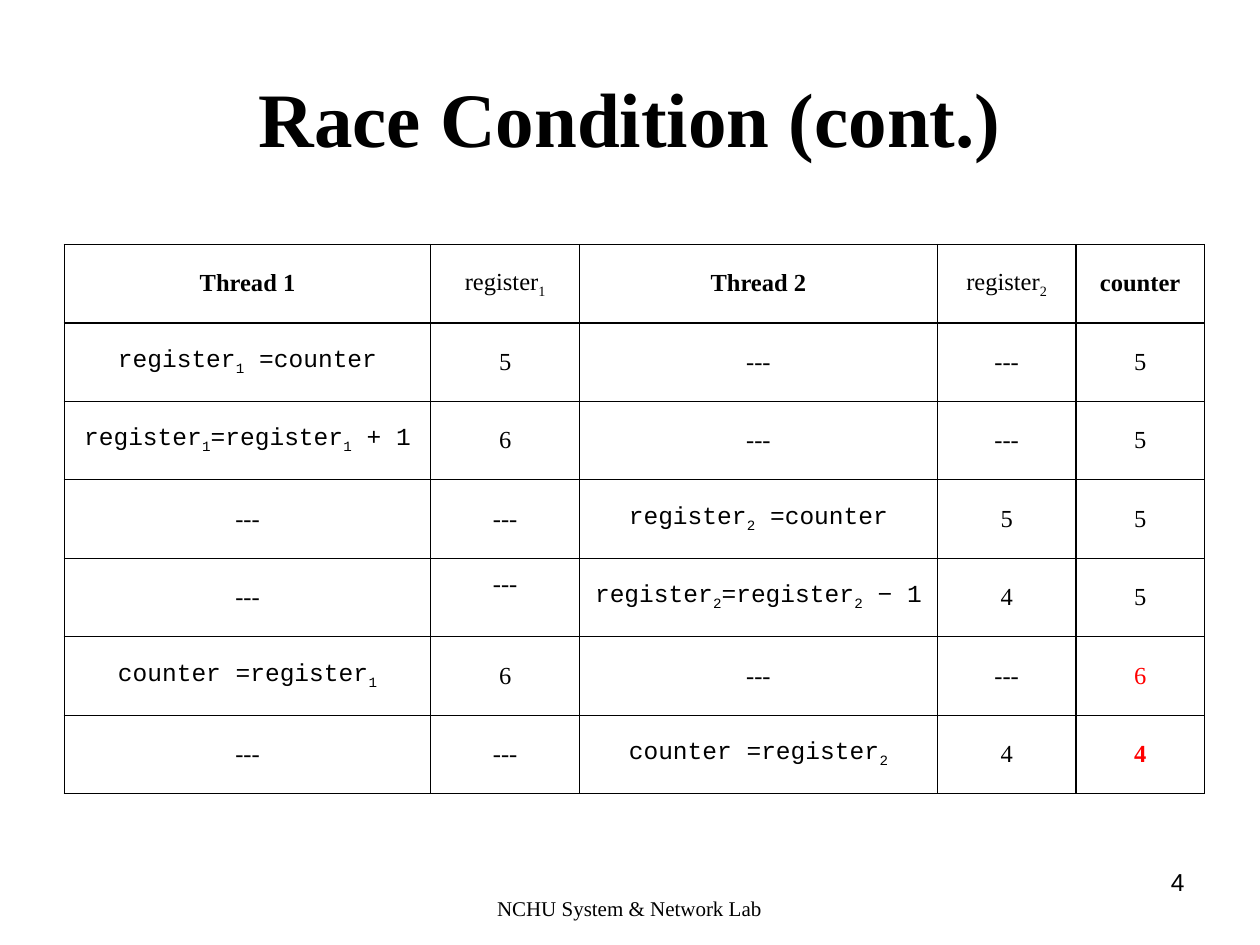
import pptx
import pptx.dml.color
import pptx.enum.text
import pptx.oxml
import pptx.oxml.ns
import pptx.util
from pptx.util import Inches

COLORS = {"text": "000000", "alert": "FF0000", "border": "000000"}
SERIF, CODE, SANS = "Times New Roman", "Courier New", "Arial"
ALIGN = pptx.enum.text.PP_ALIGN
ANCHOR = pptx.enum.text.MSO_ANCHOR

TITLE = "Race Condition (cont.)"
FOOTER = "NCHU System & Network Lab"
PAGE_NUMBER = "4"

# An underscore makes the next character a subscript.
HEADER = ["Thread 1", "register_1", "Thread 2", "register_2", "counter"]
STEPS = [
    ["register_1 =counter", "5", "---", "---", "5"],
    ["register_1=register_1 + 1", "6", "---", "---", "5"],
    ["---", "---", "register_2 =counter", "5", "5"],
    ["---", "---", "register_2=register_2 − 1", "4", "5"],
    ["counter =register_1", "6", "---", "---", "6"],
    ["---", "---", "counter =register_2", "4", "4"],
]
COLUMN_WIDTHS = [2.91, 1.18, 2.84, 1.1, 1.02]
TABLE_LEFT, TABLE_TOP, TABLE_HEIGHT = 0.51, 1.94, 4.36
# Formats of single cells, by (row, column)
SPECIAL = {
    (5, 4): {"color": "alert"},
    (6, 4): {"color": "alert", "bold": True},
}
RAISED_CELL = (4, 1)


def write(frame, text, size=14, font=SERIF, color="text", bold=False,
          align=ALIGN.CENTER):
    para = frame.paragraphs[0]
    para.alignment = align
    first, *rest = text.split("_")
    pieces = [(first, False)]
    for part in rest:
        pieces += [(part[0], True), (part[1:], False)]
    for piece, subscript in pieces:
        if not piece:
            continue
        span = para.add_run()
        span.text = piece
        span.font.size = pptx.util.Pt(size)
        span.font.name = font
        span.font.bold = bold
        span.font.color.rgb = pptx.dml.color.RGBColor.from_string(COLORS[color])
        if subscript:
            span.font._element.set("baseline", "-25000")


def add_text(page, place, text, anchor=ANCHOR.TOP, **style):
    box = page.shapes.add_textbox(*map(Inches, place))
    box.text_frame.word_wrap = True
    box.text_frame.vertical_anchor = anchor
    write(box.text_frame, text, **style)


def add_borders(cell):
    properties = cell._tc.get_or_add_tcPr()
    for index, side in enumerate(("lnL", "lnR", "lnT", "lnB")):
        line = pptx.oxml.parse_xml(
            f'<a:{side} {pptx.oxml.ns.nsdecls("a")} w="{pptx.util.Pt(0.75)}">'
            f'<a:solidFill><a:srgbClr val="{COLORS["border"]}"/></a:solidFill>'
            f'</a:{side}>')
        properties.insert(index, line)


def add_step_table(page):
    rows = [HEADER] + STEPS
    table = page.shapes.add_table(
        len(rows), len(HEADER), Inches(TABLE_LEFT), Inches(TABLE_TOP),
        Inches(sum(COLUMN_WIDTHS)), Inches(TABLE_HEIGHT)).table
    table.first_row = table.horz_banding = False
    for column, width in zip(table.columns, COLUMN_WIDTHS):
        column.width = Inches(width)
    for r, texts in enumerate(rows):
        table.rows[r].height = Inches(TABLE_HEIGHT / len(rows))
        for c, text in enumerate(texts):
            is_register = "register" in text
            style = {"bold": r == 0 and not is_register,
                     "font": CODE if r > 0 and is_register else SERIF}
            style.update(SPECIAL.get((r, c), {}))
            cell = table.cell(r, c)
            cell.fill.background()
            cell.vertical_anchor = ANCHOR.MIDDLE
            if (r, c) == RAISED_CELL:
                cell.margin_bottom = Inches(0.27)
            write(cell.text_frame, text, **style)
            add_borders(cell)


def main():
    deck = pptx.Presentation()
    deck.slide_width, deck.slide_height = Inches(10), Inches(7.5)
    page = deck.slides.add_slide(deck.slide_layouts[6])
    add_text(page, (2.87, 7.06, 4.25, 0.24), FOOTER, size=12)
    add_text(page, (0.5, 0.3, 9, 1.25), TITLE, anchor=ANCHOR.MIDDLE,
             size=44, bold=True)
    add_step_table(page)
    add_text(page, (7.17, 6.83, 2.33, 0.52), PAGE_NUMBER, font=SANS,
             align=ALIGN.RIGHT)
    deck.save("out.pptx")


if __name__ == "__main__":
    main()
